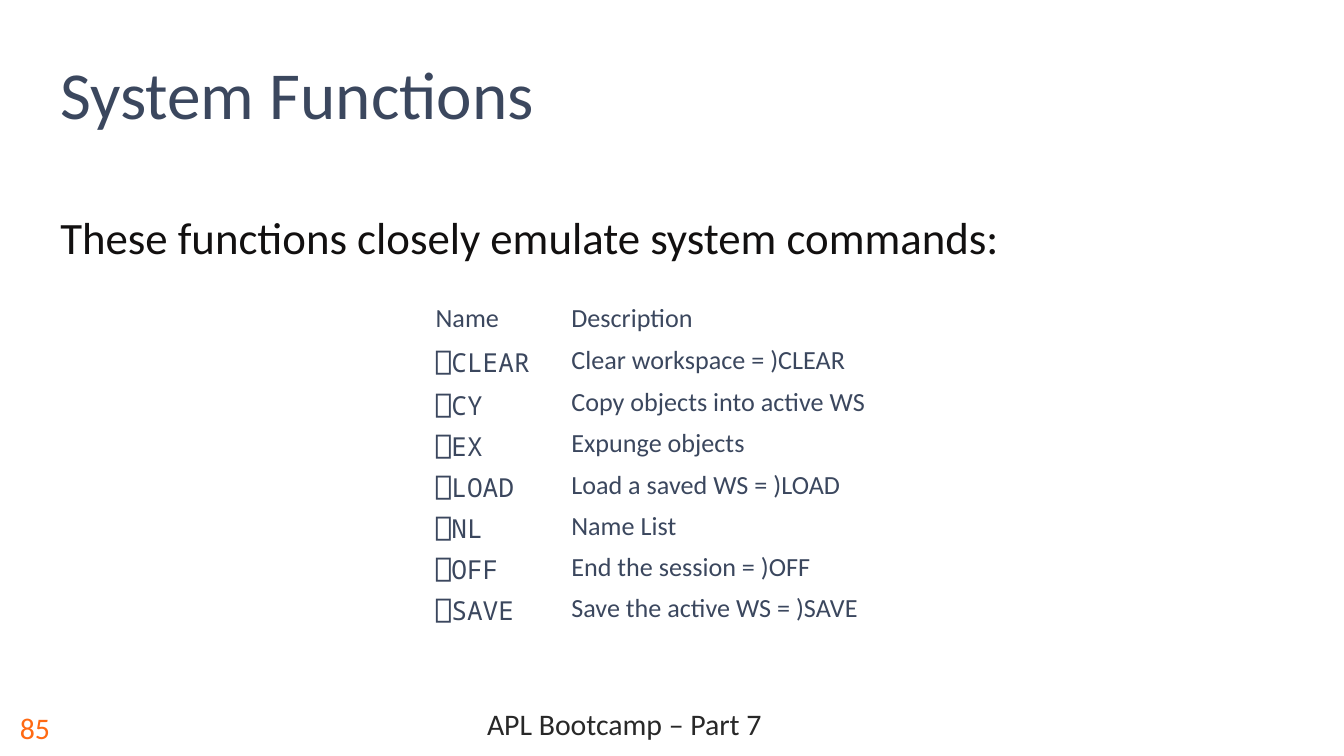
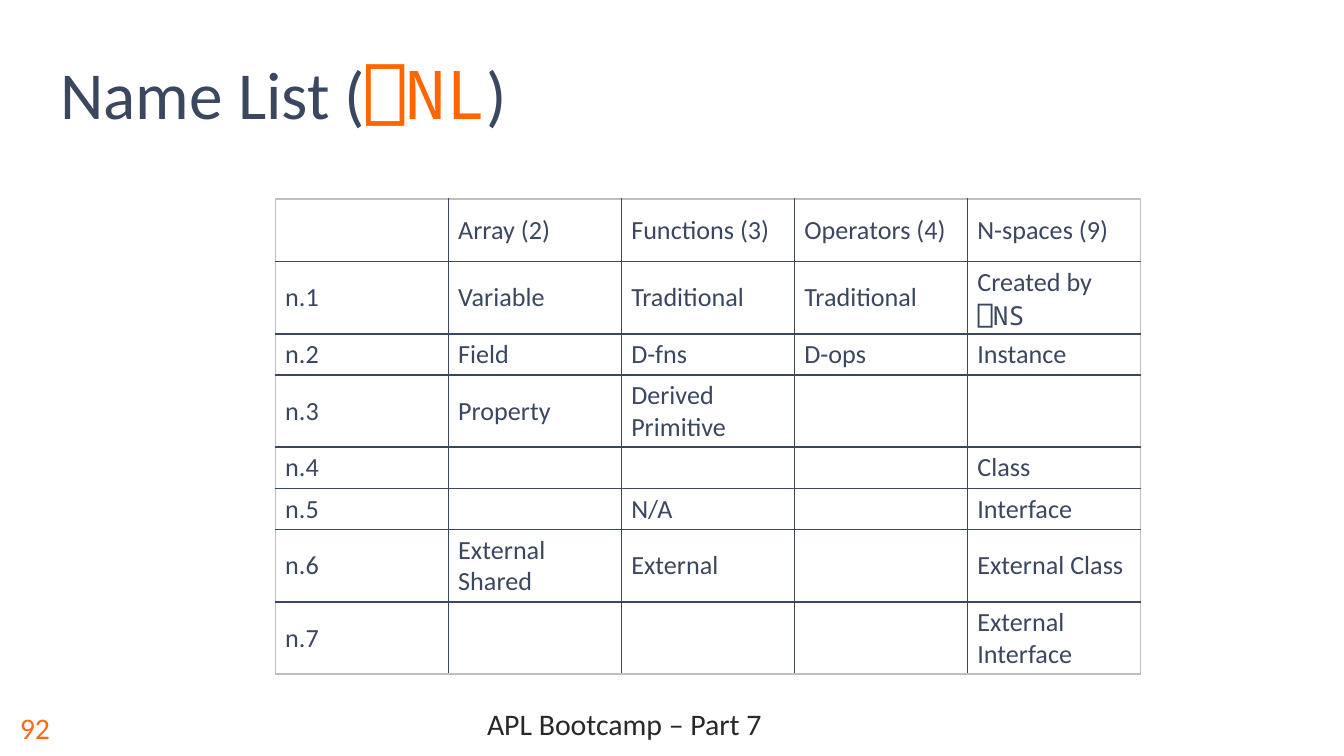
from lxml.etree import SubElement
from pptx import Presentation
from pptx.dml.color import RGBColor
from pptx.enum.text import MSO_ANCHOR, PP_ALIGN
from pptx.oxml import parse_xml
from pptx.oxml.ns import nsdecls, qn
from pptx.util import Pt

NAVY, GREY = "3B475E", "BFBFBF"
MONO = {"name": "Noto Sans Mono"}
TITLE = {"name": "Calibri", "size": Pt(36), "color": NAVY}
BODY = {"name": "Calibri", "size": Pt(24), "color": "121010"}
CELL = {"name": "Calibri", "size": Pt(14), "color": NAVY}
FOOTER = {"name": "Calibri", "size": Pt(16), "color": "282828"}
NUMBER = {**FOOTER, "color": "FF6A13"}
CELL_FRAME = {
    "vertical_anchor": MSO_ANCHOR.MIDDLE,
    "margin_left": Pt(5.2), "margin_right": Pt(5.2),
    "margin_top": Pt(2.6), "margin_bottom": Pt(2.6),
}


def write(para, spans, style):
    """Add (text, overrides) spans to a paragraph; a newline is a line break."""
    for text, overrides in spans:
        for index, line in enumerate(text.split("\n")):
            if index:
                para.add_line_break()
            span = para.add_run()
            span.text = line
            for name, value in {**style, **overrides}.items():
                if name == "color":
                    span.font.color.rgb = RGBColor.from_string(value)
                else:
                    setattr(span.font, name, value)


def add_text(page, place, spans, style, anchor=MSO_ANCHOR.MIDDLE):
    frame = page.shapes.add_textbox(*map(Pt, place)).text_frame
    frame.word_wrap = True
    frame.vertical_anchor = anchor
    para = frame.paragraphs[0]
    write(para, spans, style)
    return para


slides = [
    {
        "number": "85",
        "title": [("System Functions", {})],
        "body": "These functions closely emulate system commands:",
        "corner": (228.2, 159.8),
        "widths": [72.7, 233.3],
        "heights": [21.6, 23] + [21.6] * 6,
        "bordered": False,
        "rows": [
            ["Name", "Description"],
            ["⎕CLEAR", "Clear workspace = )CLEAR"],
            ["⎕CY", "Copy objects into active WS"],
            ["⎕EX", "Expunge objects"],
            ["⎕LOAD", "Load a saved WS = )LOAD"],
            ["⎕NL", "Name List"],
            ["⎕OFF", "End the session = )OFF"],
            ["⎕SAVE", "Save the active WS = )SAVE"],
        ],
    },
    {
        "number": "92",
        "title": [("Name List (", {}), ("⎕NL", {**MONO, "color": "FF6600"}), (")", {})],
        "body": "",
        "corner": (147.6, 106.6),
        "widths": [92.7] * 5,
        "heights": [33.4, 38.2, 21.6, 38.2, 21.6, 21.6, 38.2, 38.2],
        "bordered": True,
        "rows": [
            ["", "Array (2)", "Functions (3)", "Operators (4)", "N-spaces (9)"],
            ["n.1", "Variable", "Traditional", "Traditional", "Created by ⎕NS"],
            ["n.2", "Field", "D-fns", "D-ops", "Instance"],
            ["n.3", "Property", "Derived\nPrimitive", "", ""],
            ["n.4", "", "", "", "Class"],
            ["n.5", "", "N/A", "", "Interface"],
            ["n.6", "External\nShared", "External", "", "External Class"],
            ["n.7", "", "", "", "External Interface"],
        ],
    },
]

deck = Presentation()
deck.slide_width, deck.slide_height = Pt(720), Pt(405)

for slide in slides:
    page = deck.slides.add_slide(deck.slide_layouts[6])
    footer = add_text(page, (56.2, 373.7, 556.6, 31.7), [("APL Bootcamp – Part 7", {})], FOOTER)
    footer.alignment = PP_ALIGN.CENTER
    footer.line_spacing = 0.8
    add_text(page, (3.6, 373.7, 52.6, 31.7), [(slide["number"], {})], NUMBER)
    if slide["body"]:
        body = add_text(page, (25.2, 108.7, 666, 246.2), [(slide["body"], {})], BODY, MSO_ANCHOR.TOP)
        body.space_after = Pt(12)
    add_text(page, (25.2, 20.9, 512.6, 54), slide["title"], TITLE, MSO_ANCHOR.BOTTOM)

    rows, widths, heights = slide["rows"], slide["widths"], slide["heights"]
    size = sum(widths), sum(heights)
    table = page.shapes.add_table(len(rows), len(widths), *map(Pt, slide["corner"] + size)).table
    table.first_row = table.horz_banding = False
    for column, width in zip(table.columns, widths):
        column.width = Pt(width)
    last_row, last_column = len(rows) - 1, len(widths) - 1
    for r, (row, height) in enumerate(zip(rows, heights)):
        table.rows[r].height = Pt(height)
        for c, text in enumerate(row):
            cell = table.cell(r, c)
            cell.fill.background()
            for name, value in CELL_FRAME.items():
                setattr(cell, name, value)
            para = cell.text_frame.paragraphs[0]
            plain, quad, rest = text.partition("⎕")
            spans = [(plain, {}), (quad + rest, MONO)]
            write(para, [span for span in spans if span[0]], CELL)
            if not text:
                SubElement(para._p, qn("a:endParaRPr"), sz="1400")
            if slide["bordered"]:
                outer = {"L": c == 0, "R": c == last_column, "T": r == 0, "B": r == last_row}
                for position, (side, on_edge) in enumerate(outer.items()):
                    cell._tc.get_or_add_tcPr().insert(position, parse_xml(
                        f'<a:ln{side} {nsdecls("a")} w="{Pt(1)}"><a:solidFill>'
                        f'<a:srgbClr val="{GREY if on_edge else NAVY}"/>'
                        f'</a:solidFill></a:ln{side}>'))

deck.save("out.pptx")
